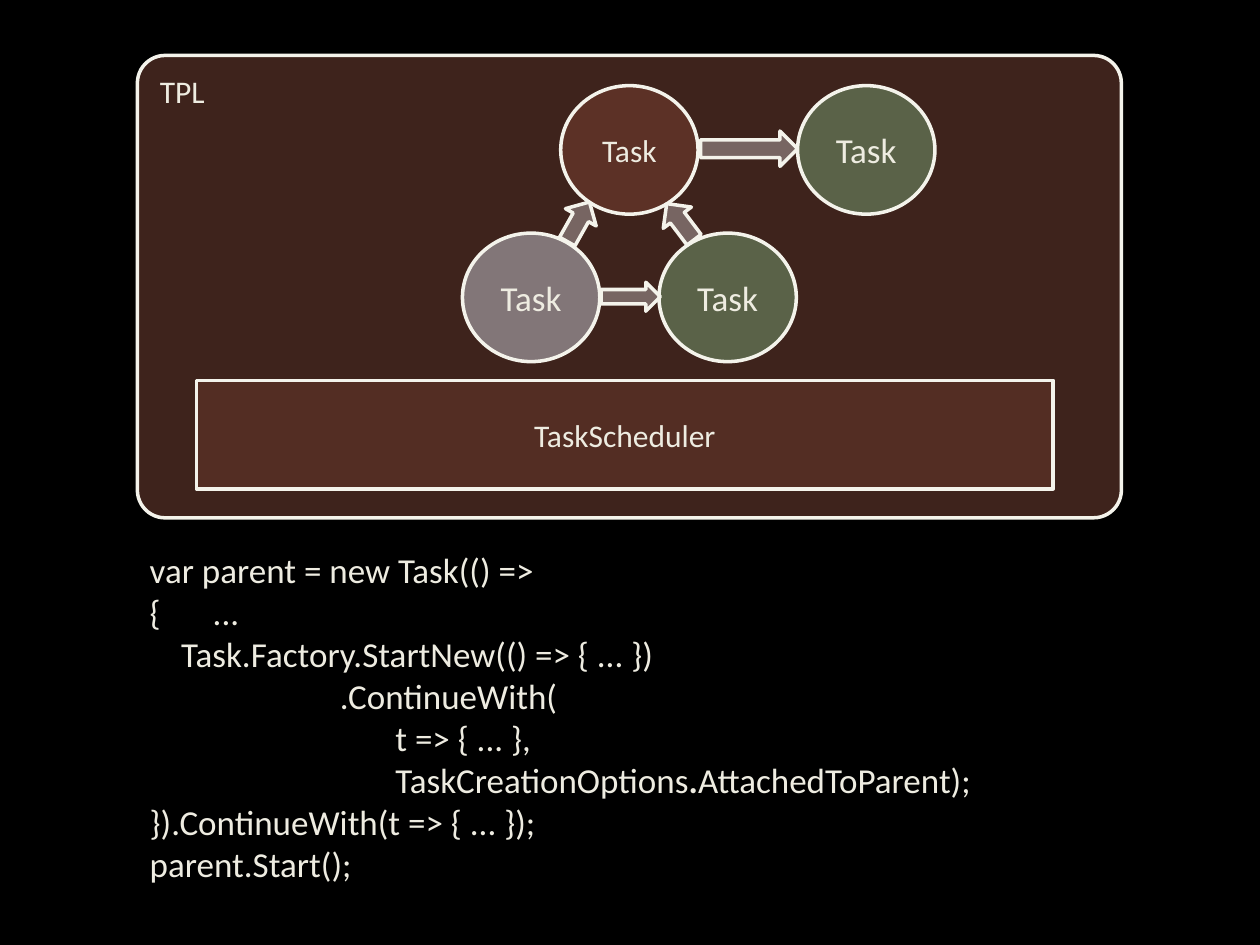
from lxml.etree import SubElement
from pptx import Presentation
from pptx.dml.color import RGBColor
from pptx.enum.shapes import MSO_SHAPE
from pptx.enum.text import MSO_ANCHOR, MSO_AUTO_SIZE, PP_ALIGN
from pptx.oxml.ns import qn
from pptx.util import Inches, Pt

COLORS = {
    "background": "000000",
    "panel": "BD6C57",
    "brown": "844534",
    "grey": "C1C4CE",
    "green": "759D72",
    "arrow": "A79C9D",
    "outline": "F4F3EB",
    "text": "EEECE1",
}
TASK_SIZE = (1.09, 1.02)
TASKS = [
    (3.36, 0.24, "brown", 43, 18),
    (2.58, 1.41, "grey", 52, 20),
    (4.14, 1.41, "green", 52, 20),
    (5.24, 0.24, "green", 52, 20),
]
ARROWS = [
    (4.13, 1.18, 0.36, 0.28, 52.9),
    (3.32, 1.18, 0.36, 0.28, 119.4),
    (3.68, 1.8, 0.47, 0.23, 180),
    (4.47, 0.6, 0.77, 0.28, 180),
]
CODE_LINES = [
    (0, ["var parent = new Task(() =>"]),
    (0, ["{\t..."]),
    (0.25, ["Task.Factory.StartNew(() => { ... })"]),
    (1.51, [".ContinueWith("]),
    (1.95, ["t => { ... },"]),
    (1.95, ["TaskCreationOptions", ".", "AttachedToParent);"]),
    (0, ["}).ContinueWith(t => { ... });"]),
    (0, ["parent.Start();"]),
]


def color(name):
    """Return the named palette colour."""
    return RGBColor.from_string(COLORS[name])


def add_run(paragraph, text, size, bold=False):
    """Append one run in the slide's text style."""
    run = paragraph.add_run()
    run.text = text
    run.font.name = "Calibri"
    run.font.size = Pt(size)
    run.font.bold = bold
    run.font.color.rgb = color("text")


def add_figure(slide, preset, box, fill, opacity, label=None, size=18):
    """Add an outlined, translucent shape with an optional centred label."""
    figure = slide.shapes.add_shape(preset, *map(Inches, box))
    figure.shadow.inherit = False
    figure.fill.solid()
    figure.fill.fore_color.rgb = color(fill)
    tint = figure._element.spPr.find(qn("a:solidFill")).find(qn("a:srgbClr"))
    SubElement(tint, qn("a:alpha")).set("val", str(opacity * 1000))
    figure.line.color.rgb = color("outline")
    figure.line.width = Pt(2)
    if label:
        figure.text_frame.vertical_anchor = MSO_ANCHOR.MIDDLE
        paragraph = figure.text_frame.paragraphs[0]
        paragraph.alignment = PP_ALIGN.CENTER
        add_run(paragraph, label, size)
    return figure


def add_text_frame(slide, box):
    """Add a wrapping text box that grows with its text."""
    frame = slide.shapes.add_textbox(*map(Inches, box)).text_frame
    frame.word_wrap = True
    frame.auto_size = MSO_AUTO_SIZE.SHAPE_TO_FIT_TEXT
    return frame


def add_library_panel(slide, left, top, width, height):
    """Draw the TPL panel with its task graph and scheduler."""
    panel = add_figure(slide, MSO_SHAPE.ROUNDED_RECTANGLE,
                       (left, top, width, height), "panel", 33)
    panel.adjustments[0] = 0.06
    title = add_text_frame(slide, (left + 0.08, top + 0.08, 2.03, 0.4))
    add_run(title.paragraphs[0], "TPL", 18)
    for x, y, fill, opacity, size in TASKS:
        add_figure(slide, MSO_SHAPE.OVAL, (left + x, top + y, *TASK_SIZE),
                   fill, opacity, "Task", size)
    for x, y, length, thickness, angle in ARROWS:
        arrow = add_figure(slide, MSO_SHAPE.LEFT_ARROW,
                           (left + x, top + y, length, thickness), "arrow", 55)
        arrow.rotation = angle
    add_figure(slide, MSO_SHAPE.RECTANGLE, (left + 0.47, top + 2.58, 6.8, 0.86),
               "brown", 31, "TaskScheduler")


def add_code(slide, left, top, width, height):
    """Write the code sample with indents and a tab stop."""
    frame = add_text_frame(slide, (left, top, width, height))
    for number, (indent, parts) in enumerate(CODE_LINES):
        paragraph = frame.add_paragraph() if number else frame.paragraphs[0]
        properties = paragraph._p.get_or_add_pPr()
        properties.set("marL", str(Inches(indent)))
        properties.set("indent", "0")
        if "\t" in parts[0]:
            stop = SubElement(SubElement(properties, qn("a:tabLst")), qn("a:tab"))
            stop.set("pos", str(Inches(0.28)))
            stop.set("algn", "l")
        for part in parts:
            add_run(paragraph, part, 20, bold=part == ".")


def main():
    """Build and save the slide."""
    presentation = Presentation()
    presentation.slide_width = Inches(10)
    presentation.slide_height = Inches(7.5)
    slide = presentation.slides.add_slide(presentation.slide_layouts[6])
    slide.background.fill.solid()
    slide.background.fill.fore_color.rgb = color("background")
    add_library_panel(slide, 1.09, 0.44, 7.81, 3.67)
    add_code(slide, 1.09, 4.3, 8, 2.79)
    presentation.save("out.pptx")


if __name__ == "__main__":
    main()
